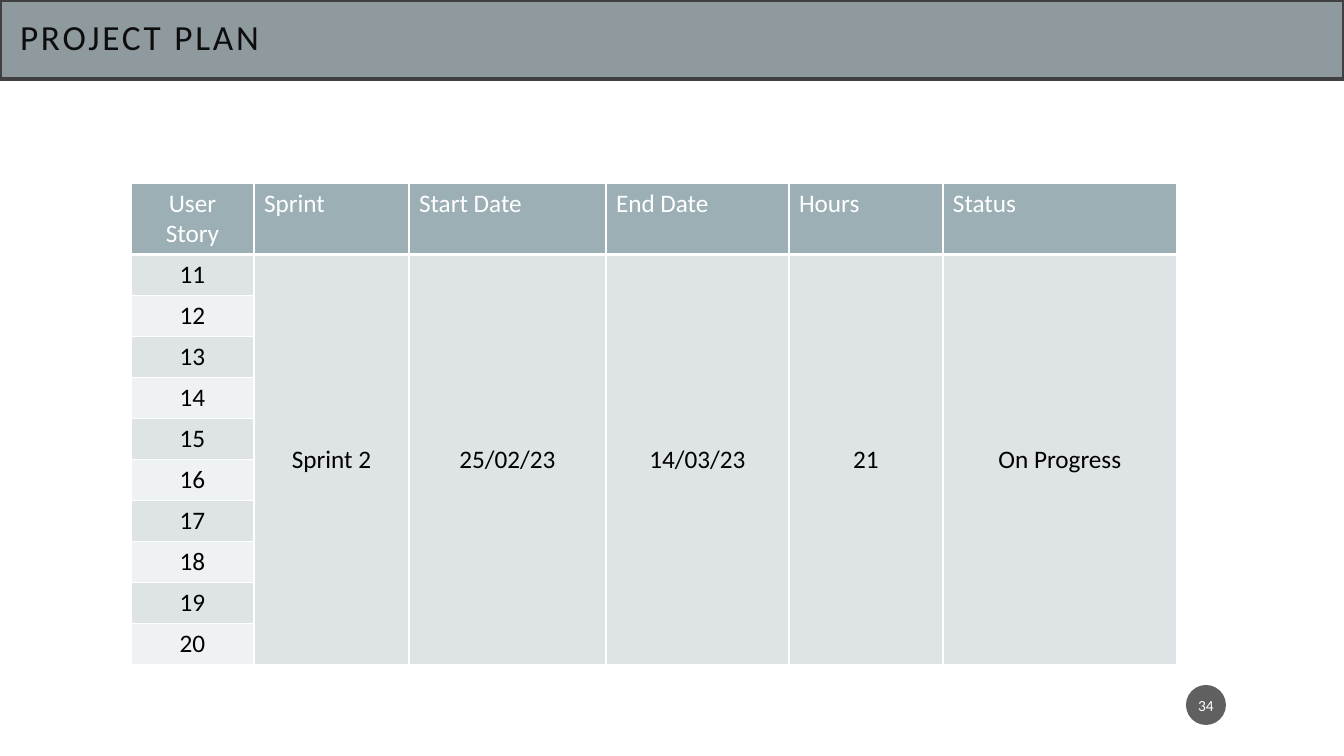
"""Build the project plan slide with its sprint table."""
from lxml import etree
from pptx import Presentation
from pptx import util as u
from pptx.dml.color import RGBColor
from pptx.enum import shapes, text
from pptx.oxml import ns

BAR = RGBColor(0x8E, 0x9A, 0x9E)
EDGE = RGBColor(0x40, 0x40, 0x40)
INK = RGBColor(0x0D, 0x0D, 0x0D)
DOT = RGBColor(0x1D, 0x1D, 0x1D)
HEAD = RGBColor(0x9B, 0xAF, 0xB5)
DARK = RGBColor(0xDE, 0xE3, 0xE5)
PALE = RGBColor(0xEF, 0xF2, 0xF3)
WHITE = RGBColor(0xFF, 0xFF, 0xFF)
BLACK = RGBColor(0, 0, 0)
LEFT, MID = text.PP_ALIGN.LEFT, text.PP_ALIGN.CENTER


def px(n):
    return u.Emu(round(n * 914400 / 100.8))


def write(frame, words, size=18, color=BLACK, align=MID, space=None):
    para = frame.paragraphs[0]
    para.alignment = align
    run = para.add_run()
    run.text = words
    run.font.size = u.Pt(size)
    run.font.name = "Calibri"
    run.font.color.rgb = color
    if space:
        para.line_spacing = 0.9
        run.font._element.set("spc", str(space))


deck = Presentation()
deck.slide_width, deck.slide_height = px(1344), px(756)
slide = deck.slides.add_slide(deck.slide_layouts[6])

kinds = shapes.MSO_SHAPE
bar = slide.shapes.add_shape(kinds.RECTANGLE, 0, 0, px(1344), px(79))
bar.line.color.rgb = EDGE
bar.line.width = u.Pt(2.5)
dot = slide.shapes.add_shape(kinds.OVAL, px(1186), px(685), px(40), px(40))
dot.line.fill.background()
for shape, fill, side, end in ((bar, BAR, 20, 20), (dot, DOT, 2, 5)):
    shape.shadow.inherit = False
    shape.fill.solid()
    shape.fill.fore_color.rgb = fill
    frame = shape.text_frame
    frame.word_wrap = True
    frame.vertical_anchor = text.MSO_ANCHOR.MIDDLE
    frame.margin_left = frame.margin_right = px(side)
    frame.margin_top = frame.margin_bottom = px(end)
write(bar.text_frame, "PROJECT PLAN", size=25.2, color=INK, align=LEFT, space=200)
write(dot.text_frame, "34", size=11, color=WHITE)
tint = dot.fill._xPr.find(ns.qn("a:solidFill"))[0]
etree.SubElement(tint, ns.qn("a:alpha"), val="70000")

heads = ["User Story", "Sprint", "Start Date", "End Date", "Hours", "Status"]
plan = ["Sprint 2", "25/02/23", "14/03/23", "21", "On Progress"]
wides = [123, 155, 197, 183, 154, 234]
highs = [71] + [41] * 10
grid = slide.shapes.add_table(len(highs), len(wides), px(131), px(183),
                              px(sum(wides)), px(sum(highs))).table
for col, wide in zip(grid.columns, wides):
    col.width = px(wide)
for row, high in zip(grid.rows, highs):
    row.height = px(high)

for r in range(len(highs)):
    for c in range(len(wides)):
        cell = grid.cell(r, c)
        props = cell._tc.get_or_add_tcPr()
        for side in "LRTB":
            thick = (r, side) in ((0, "B"), (1, "T"))
            line = etree.SubElement(props, ns.qn("a:ln" + side),
                                    w=str(u.Pt(3 if thick else 1)))
            fill = etree.SubElement(line, ns.qn("a:solidFill"))
            etree.SubElement(fill, ns.qn("a:srgbClr"), val=str(WHITE))
        cell.fill.solid()
        cell.fill.fore_color.rgb = HEAD if r == 0 else DARK if r % 2 or c else PALE

for c, head in enumerate(heads):
    write(grid.cell(0, c).text_frame, head, color=WHITE, align=LEFT if c else MID)
for r in range(1, 11):
    write(grid.cell(r, 0).text_frame, str(r + 10))
for c, words in enumerate(plan, 1):
    cell = grid.cell(1, c)
    cell.merge(grid.cell(10, c))
    cell.vertical_anchor = text.MSO_ANCHOR.MIDDLE
    write(cell.text_frame, words)

deck.save("out.pptx")
